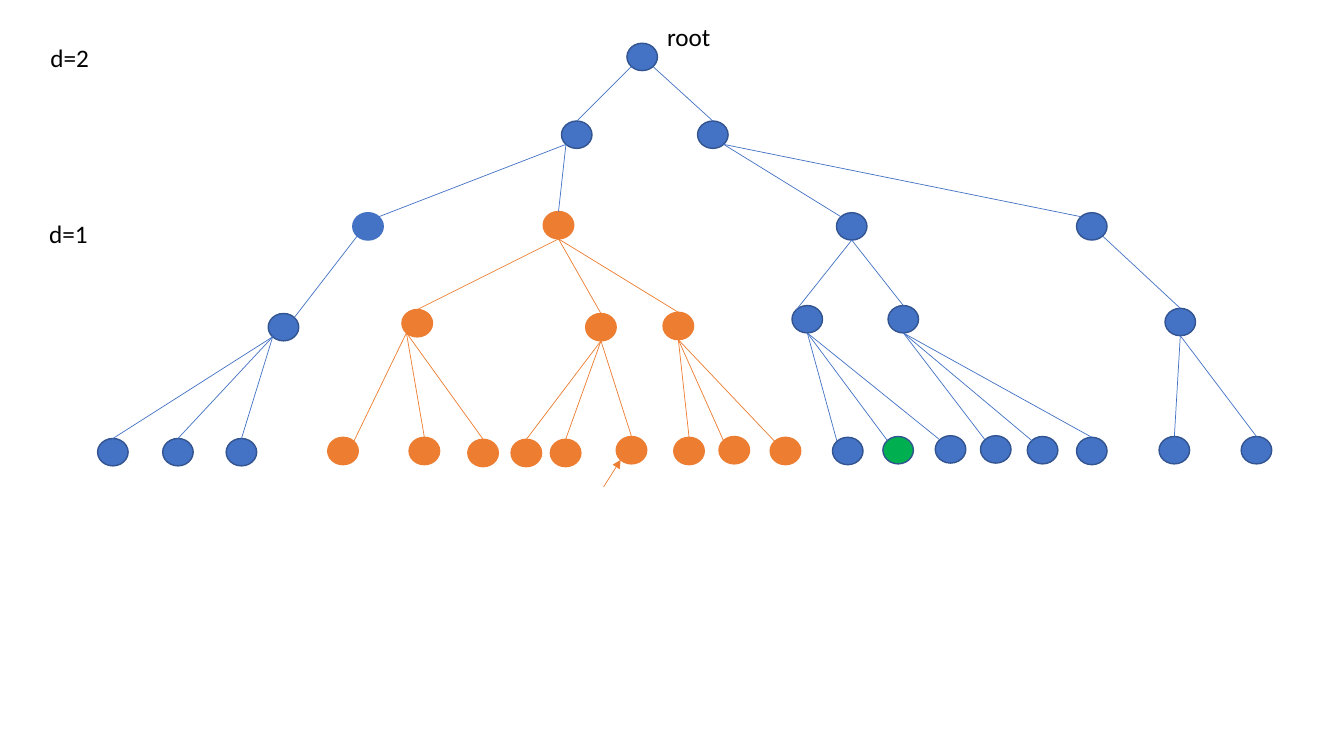
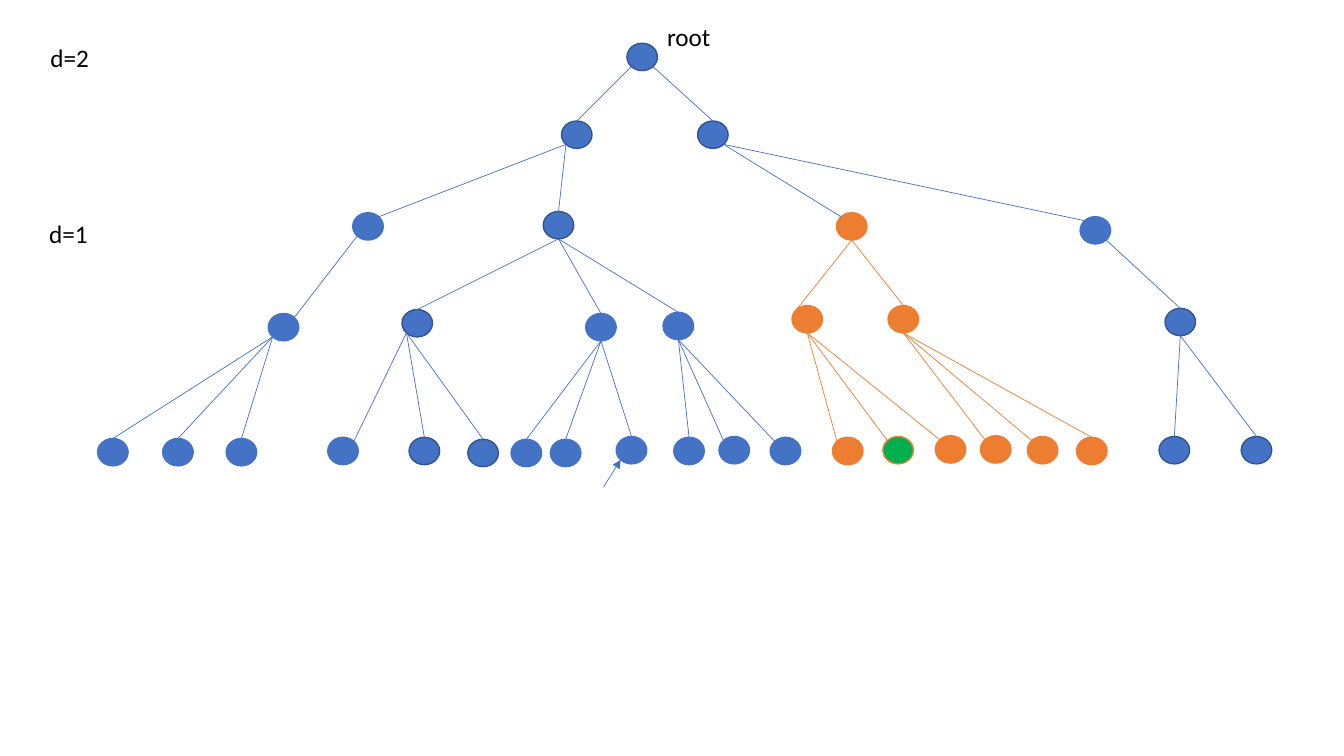
import dataclasses
import math

import lxml.etree
import pptx
import pptx.dml.color
import pptx.enum.shapes
import pptx.enum.text
import pptx.oxml.ns
import pptx.util

Cm = pptx.util.Cm
Pt = pptx.util.Pt
qn = pptx.oxml.ns.qn
rgb = pptx.dml.color.RGBColor.from_string


# Colours, type and line sizes
@dataclasses.dataclass(frozen=True)
class Theme:
    blue: str = "4472C4"
    dark_blue: str = "325491"
    orange: str = "ED7D31"
    green: str = "00B050"
    text: str = "000000"
    font: str = "Calibri"
    label_size: float = 18
    outline_width: float = 1
    edge_width: float = 0.5
    node_width: float = 0.77
    node_height: float = 0.69


# Points on a node's rim where edges meet it, as offsets from its centre in radii
DIAGONAL = math.sqrt(0.5)
RIM = {
    "top": (0, -1),
    "bottom": (0, 1),
    "top left": (-DIAGONAL, -DIAGONAL),
    "top right": (DIAGONAL, -DIAGONAL),
    "bottom left": (-DIAGONAL, DIAGONAL),
    "bottom right": (DIAGONAL, DIAGONAL),
}


@dataclasses.dataclass(frozen=True)
class Node:
    left: float
    top: float
    parent: str = ""
    exit: str = ""
    entry: str = "top"


# The search tree: position, parent, and where the edge leaves and enters
TREE = {
    "root": Node(15.8, 1.09),
    "left": Node(14.15, 3.05, "root", "bottom left"),
    "right": Node(17.58, 3.05, "root", "bottom right"),
    "a": Node(8.89, 5.36, "left", "bottom left", "top right"),
    "b": Node(13.69, 5.33, "left", "bottom left"),
    "c": Node(21.08, 5.36, "right", "bottom right", "top left"),
    "d": Node(27.13, 5.36, "right", "bottom right", "top left"),
    "a1": Node(6.76, 7.9, "a", "bottom left", "top right"),
    "b1": Node(10.13, 7.8, "b", "bottom"),
    "b2": Node(14.76, 7.9, "b", "bottom"),
    "b3": Node(16.71, 7.87, "b", "bottom"),
    "c1": Node(19.96, 7.7, "c", "bottom", "top left"),
    "c2": Node(22.38, 7.7, "c", "bottom"),
    "d1": Node(29.36, 7.77, "d", "bottom right"),
    "a11": Node(2.46, 11.05, "a1", "bottom left"),
    "a12": Node(4.1, 11.05, "a1", "bottom left"),
    "a13": Node(5.7, 11.05, "a1", "bottom left"),
    "b11": Node(8.26, 11.02, "b1", "bottom left", "top right"),
    "b12": Node(10.31, 11.02, "b1", "bottom left"),
    "b13": Node(11.79, 11.07, "b1", "bottom left"),
    "b21": Node(12.88, 11.07, "b2", "bottom"),
    "b22": Node(13.87, 11.07, "b2", "bottom"),
    "b23": Node(15.53, 11.0, "b2", "bottom"),
    "b31": Node(16.98, 11.02, "b3", "bottom"),
    "b32": Node(18.12, 11.0, "b3", "bottom", "top left"),
    "b33": Node(19.41, 11.02, "b3", "bottom", "top left"),
    "c11": Node(20.98, 11.02, "c1", "bottom", "top left"),
    "c12": Node(22.25, 11.0, "c1", "bottom", "top left"),
    "c13": Node(23.57, 10.98, "c1", "bottom", "top left"),
    "c21": Node(24.71, 10.98, "c2", "bottom", "top left"),
    "c22": Node(25.89, 11.0, "c2", "bottom", "top left"),
    "c23": Node(27.13, 11.02, "c2", "bottom"),
    "d11": Node(29.21, 11.0, "d1", "bottom"),
    "d12": Node(31.28, 11.0, "d1", "bottom"),
}
GOAL = "c12"
VISITED = "b23"
VISITED_ARROW_START = (15.21, 12.27)


class TreeDeck:
    def __init__(self, theme):
        self.theme = theme
        self.presentation = pptx.Presentation()
        self.presentation.slide_width = Cm(33.87)
        self.presentation.slide_height = Cm(19.05)
        self.slide = None

    def add_slide(self):
        blank_layout = self.presentation.slide_layouts[6]
        self.slide = self.presentation.slides.add_slide(blank_layout)

    def rim_point(self, node, side):
        across, down = RIM[side]
        return (node.left + self.theme.node_width * (1 + across) / 2,
                node.top + self.theme.node_height * (1 + down) / 2)

    def add_node(self, node, fill, outline):
        shape = self.slide.shapes.add_shape(
            pptx.enum.shapes.MSO_SHAPE.OVAL, Cm(node.left), Cm(node.top),
            Cm(self.theme.node_width), Cm(self.theme.node_height))
        shape.shadow.inherit = False
        shape.fill.solid()
        shape.fill.fore_color.rgb = rgb(fill)
        shape.line.color.rgb = rgb(outline)
        shape.line.width = Pt(self.theme.outline_width)

    def add_edge(self, start, end, color, arrow=False):
        connector = self.slide.shapes.add_connector(
            pptx.enum.shapes.MSO_CONNECTOR.STRAIGHT,
            *(Cm(length) for length in (*start, *end)))
        connector.line.color.rgb = rgb(color)
        connector.line.width = Pt(self.theme.edge_width)
        properties = connector.element.spPr
        if arrow:
            line = properties.find(qn("a:ln"))
            lxml.etree.SubElement(line, qn("a:tailEnd"), type="triangle")
        lxml.etree.SubElement(properties, qn("a:effectLst"))

    def add_label(self, text, left, top, width, wrap=True):
        shape = self.slide.shapes.add_textbox(Cm(left), Cm(top), Cm(width), Cm(1.03))
        frame = shape.text_frame
        frame.word_wrap = wrap
        frame.auto_size = pptx.enum.text.MSO_AUTO_SIZE.SHAPE_TO_FIT_TEXT
        run = frame.paragraphs[0].add_run()
        run.text = text
        run.font.name = self.theme.font
        run.font.size = Pt(self.theme.label_size)
        run.font.color.rgb = rgb(self.theme.text)

    def add_tree(self, tree, active, plain):
        """Draw the tree; the active branch is orange, plain nodes have no dark rim."""
        theme = self.theme

        def branch_color(name):
            return theme.orange if name.startswith(active) else theme.blue

        # Nodes
        for name, node in tree.items():
            color = branch_color(name)
            dark_rim = color == theme.blue and name not in plain
            self.add_node(node, theme.green if name == GOAL else color,
                          theme.dark_blue if dark_rim else color)

        # Edges take the colour of the parent's branch
        for node in tree.values():
            if node.parent:
                self.add_edge(self.rim_point(tree[node.parent], node.exit),
                              self.rim_point(node, node.entry),
                              branch_color(node.parent))

        # Arrow to the visited leaf
        self.add_edge(VISITED_ARROW_START, self.rim_point(tree[VISITED], "bottom left"),
                      branch_color(VISITED), arrow=True)

        # Labels
        self.add_label("root", 16.56, 0.41, 1.63, wrap=False)
        self.add_label("d=2", 1.02, 0.93, 3.45)
        self.add_label("d=1", 0.99, 5.37, 3.45)


deck = TreeDeck(Theme())

# Slide 1: the branch under b is searched
deck.add_slide()
deck.add_tree(TREE, active="b", plain={"a"})

# Slide 2: the branch under c is searched
shifted_tree = TREE | {"d": dataclasses.replace(TREE["d"], left=27.22, top=5.46)}
searched = {name for name in TREE if name.startswith(("a", "b2", "b3"))}
deck.add_slide()
deck.add_tree(shifted_tree, active="c", plain=searched | {"b11", "d"})

deck.presentation.save("out.pptx")
